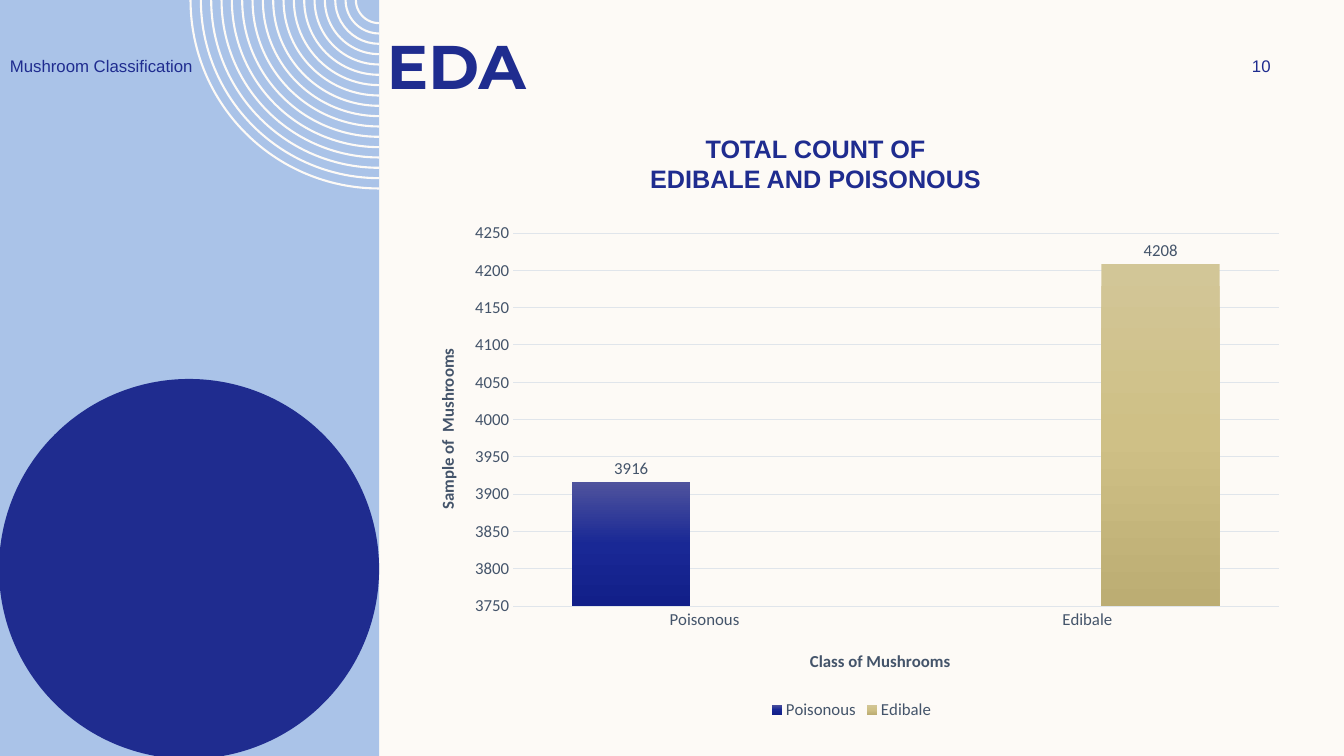
"""Build the EDA slide: mushroom counts by class beside a decorated side panel."""
import copy

import lxml.etree
import pptx
import pptx.chart.data
import pptx.dml.color
import pptx.enum.chart
import pptx.enum.shapes
import pptx.enum.text
import pptx.oxml.ns
import pptx.util

Inches = pptx.util.Inches
qn = pptx.oxml.ns.qn
ALIGN = pptx.enum.text.PP_ALIGN
ANCHOR = pptx.enum.text.MSO_ANCHOR

THEME = {
    "cream": "FDFAF6", "sky": "AAC3E8", "navy": "1F2C8F",
    "slate": "44546A", "grid": "E0E5EB",
    "heading": 44, "subheading": 18, "small": 12, "hairline": 0.75, "ring": 1.5,
}
TEXTS = [
    (["EDA"], (3.74, 0.23, 8.93, 0.84), "heading", "Montserrat", True, ALIGN.LEFT, ANCHOR.TOP),
    (["TOTAL COUNT OF", "EDIBALE AND POISONOUS"], (4.66, 1.27, 6.86, 0.84),
     "subheading", "Arial", True, ALIGN.CENTER, ANCHOR.TOP),
    (["10"], (11.97, 0.5, 1.08, 0.3), "small", "Arial", False, ALIGN.CENTER, ANCHOR.MIDDLE),
    (["Mushroom Classification"], (0, 0.5, 3.5, 0.3), "small", "Arial", False,
     ALIGN.LEFT, ANCHOR.MIDDLE),
]
CLASSES = ["Poisonous", "Edibale"]
SERIES = [
    ("Poisonous", (3916, None), ("4F539D", "192895", "121F89")),
    ("Edibale", (None, 4208), ("D2C697", "CFC086", "BCAD73")),
]
CHART_BOX = (4.03, 2.11, 8.83, 5.07)
PLOT_LAYOUT = {"x": 0.12, "y": 0.04, "w": 0.86, "h": 0.73}
CLASS_TITLE = ("Class of Mushrooms", {"x": 0.45, "y": 0.85})
SAMPLE_TITLE = ("Sample of  Mushrooms", {"x": 0.03, "y": 0.26})
PANEL_EDGE = 3.76
RINGS, OUTER_RADIUS, INNER_RADIUS = 17, 1.87, 0.23


def color(key):
    return pptx.dml.color.RGBColor.from_string(THEME.get(key, key))


def style_font(font, size, name, tint, bold=False):
    font.size = pptx.util.Pt(THEME[size])
    font.name = name
    font.bold = bold
    font.color.rgb = color(tint)


def style_line(line, tint, width):
    line.color.rgb = color(tint)
    line.width = pptx.util.Pt(THEME[width])


def add_filled(slide, kind, box, tint):
    shape = slide.shapes.add_shape(kind, *map(Inches, box))
    shape.shadow.inherit = False
    shape.fill.solid()
    shape.fill.fore_color.rgb = color(tint)
    shape.line.fill.background()


def add_rings(slide):
    gap = (OUTER_RADIUS - INNER_RADIUS) / (RINGS - 1)
    radii = [Inches(OUTER_RADIUS - ring * gap) for ring in range(RINGS)]
    center = Inches(PANEL_EDGE)
    builder = slide.shapes.build_freeform(center - radii[0], 0)
    for radius in radii:
        builder.move_to(center - radius, 0)
        builder.add_line_segments([(center, radius)], close=False)
    rings = builder.convert_to_shape()
    rings.shadow.inherit = False
    rings.fill.background()
    style_line(rings.line, "cream", "ring")
    segments = list(rings._element.iter(qn("a:lnTo")))
    for segment, radius in zip(segments, radii):
        arc = lxml.etree.Element(qn("a:arcTo"), {
            "wR": str(radius), "hR": str(radius), "stAng": "10800000", "swAng": "-5400000"})
        segment.getparent().replace(segment, arc)


def add_panel(slide):
    kinds = pptx.enum.shapes.MSO_SHAPE
    add_filled(slide, kinds.RECTANGLE, (0, 0, PANEL_EDGE, 7.5), "sky")
    add_rings(slide)
    add_filled(slide, kinds.OVAL, (-0.01, PANEL_EDGE, 3.77, 3.77), "navy")


def add_text(slide, lines, box, size, name, bold, align, anchor):
    frame = slide.shapes.add_textbox(*map(Inches, box)).text_frame
    frame.word_wrap = True
    frame.vertical_anchor = anchor
    frame.text = "\n".join(lines)
    for paragraph in frame.paragraphs:
        paragraph.alignment = align
        style_font(paragraph.font, size, name, "navy", bold)


def place(element, fractions, before, inner=False):
    for old in element.findall(qn("c:layout")):
        element.remove(old)
    layout = lxml.etree.Element(qn("c:layout"))
    manual = lxml.etree.SubElement(layout, qn("c:manualLayout"))
    entries = [("layoutTarget", "inner")] if inner else []
    entries += [("xMode", "edge"), ("yMode", "edge"), *fractions.items()]
    for tag, value in entries:
        lxml.etree.SubElement(manual, qn("c:" + tag)).set("val", str(value))
    element.find(qn(before)).addprevious(layout)


def style_axis(axis, title):
    wording, fractions = title
    axis.major_tick_mark = pptx.enum.chart.XL_TICK_MARK.NONE
    style_font(axis.tick_labels.font, "small", "Calibri", "slate")
    heading = axis.axis_title
    heading.text_frame.text = wording
    style_font(heading.text_frame.paragraphs[0].font, "small", "Calibri", "slate", True)
    place(heading._element, fractions, "c:overlay")


def style_series(series, shades):
    fill = series.format.fill
    fill.gradient()
    fill.gradient_angle = 270
    stops = series._element.find(".//" + qn("a:gsLst"))
    stops.append(copy.deepcopy(stops[-1]))
    for stop, position, shade in zip(fill.gradient_stops, (0, 0.5, 1), shades):
        stop.position = position
        stop.color.rgb = color(shade)
    labels = series.data_labels
    labels.show_value = True
    labels.position = pptx.enum.chart.XL_LABEL_POSITION.OUTSIDE_END
    style_font(labels.font, "small", "Calibri", "slate")


def add_counts(slide):
    counts = pptx.chart.data.CategoryChartData()
    counts.categories = CLASSES
    for name, values, _ in SERIES:
        counts.add_series(name, values)
    kind = pptx.enum.chart.XL_CHART_TYPE.COLUMN_CLUSTERED
    chart = slide.shapes.add_chart(kind, *map(Inches, CHART_BOX), counts).chart
    style_font(chart.font, "small", "Calibri", "slate")
    chart.has_title = False
    chart.has_legend = True
    chart.legend.position = pptx.enum.chart.XL_LEGEND_POSITION.BOTTOM
    chart.legend.include_in_layout = False
    style_font(chart.legend.font, "small", "Calibri", "slate")

    style_axis(chart.category_axis, CLASS_TITLE)
    style_line(chart.category_axis.format.line, "grid", "hairline")
    samples = chart.value_axis
    style_axis(samples, SAMPLE_TITLE)
    samples.minimum_scale, samples.maximum_scale, samples.major_unit = 3750, 4250, 50
    samples.format.line.fill.background()
    style_line(samples.major_gridlines.format.line, "grid", "hairline")

    bars = chart.plots[0]
    bars.vary_by_categories = False
    bars.gap_width, bars.overlap = 100, -24
    for series, (_, _, shades) in zip(bars.series, SERIES):
        style_series(series, shades)
    place(chart._chartSpace.find(".//" + qn("c:plotArea")), PLOT_LAYOUT, "c:barChart", True)


def main():
    deck = pptx.Presentation()
    deck.slide_width, deck.slide_height = Inches(13.33), Inches(7.5)
    slide = deck.slides.add_slide(deck.slide_layouts[6])
    slide.background.fill.solid()
    slide.background.fill.fore_color.rgb = color("cream")
    add_panel(slide)
    for text in TEXTS:
        add_text(slide, *text)
    add_counts(slide)
    deck.save("out.pptx")


if __name__ == "__main__":
    main()
